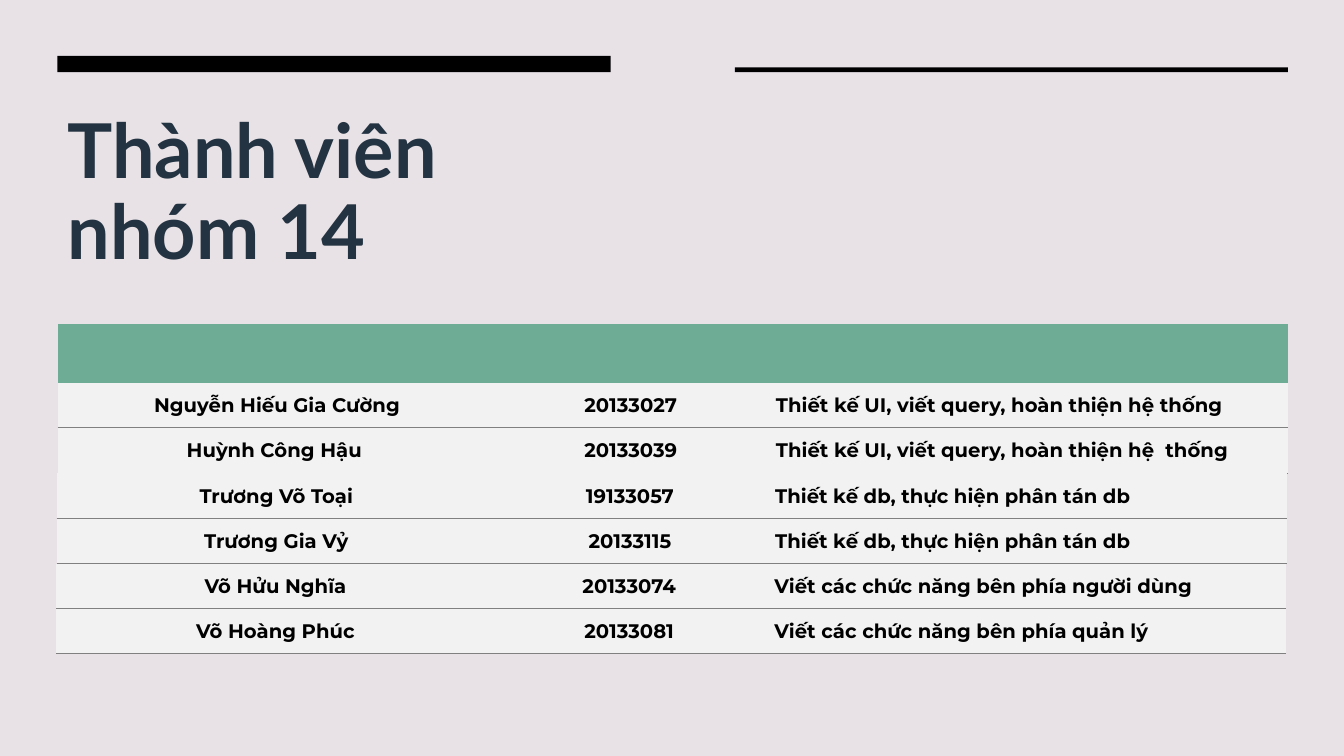
from dataclasses import dataclass

from lxml import etree
from pptx import Presentation
from pptx.dml.color import RGBColor
from pptx.enum.shapes import MSO_SHAPE
from pptx.enum.text import MSO_ANCHOR, PP_ALIGN
from pptx.oxml.ns import qn
from pptx.util import Cm, Pt

RECTANGLE = MSO_SHAPE.RECTANGLE
TOP = MSO_ANCHOR.TOP
LEFT, CENTER = PP_ALIGN.LEFT, PP_ALIGN.CENTER


@dataclass(frozen=True)
class Theme:
    background: str = "E8E2E7"
    bar: str = "000000"
    title: str = "243341"
    header: str = "6FAC96"
    row: str = "F2F2F2"
    rule: str = "808080"
    text: str = "000000"
    title_font: str = "Lato"
    body_font: str = "Montserrat"
    title_size: int = 54
    body_size: int = 14
    rule_width: float = 0.75


@dataclass(frozen=True)
class Box:
    left: float
    top: float
    width: float
    height: float

    def lengths(self):
        return Cm(self.left), Cm(self.top), Cm(self.width), Cm(self.height)


THEME = Theme()
COLUMN_SHARES = (0.357, 0.218, 0.425)
COLUMN_ALIGNMENTS = (CENTER, CENTER, LEFT)
HEADER_HEIGHT = 1.47
ROW_HEIGHT = 1.14
MEMBER_GROUPS = (
    (
        Box(1.45, 8.17, 31, 3.75),
        True,
        (
            ("Nguyễn Hiếu Gia Cường", "20133027", "Thiết kế UI, viết query, hoàn thiện hệ thống"),
            ("Huỳnh Công Hậu ", "20133039", "Thiết kế UI, viết query, hoàn thiện hệ  thống"),
        ),
    ),
    (
        Box(1.43, 11.93, 31, 2.28),
        False,
        (
            ("Trương Võ Toại", "19133057", "Thiết kế db, thực hiện phân tán db"),
            ("Trương Gia Vỷ", "20133115", "Thiết kế db, thực hiện phân tán db"),
        ),
    ),
    (
        Box(1.41, 14.2, 31, 2.28),
        False,
        (
            ("Võ Hửu Nghĩa", "20133074", "Viết các chức năng bên phía người dùng"),
            ("Võ Hoàng Phúc", "20133081", "Viết các chức năng bên phía quản lý"),
        ),
    ),
)


def color(code):
    return RGBColor.from_string(code)


def style_font(font, name, size, code):
    font.name = name
    font.size = Pt(size)
    font.bold = True
    font.color.rgb = color(code)


def add_bar(page, box):
    bar = page.shapes.add_shape(RECTANGLE, *box.lengths())
    bar.shadow.inherit = False
    bar.fill.solid()
    bar.fill.fore_color.rgb = color(THEME.bar)
    bar.line.fill.background()


def add_title(page, box):
    frame = page.shapes.add_textbox(*box.lengths()).text_frame
    frame.word_wrap = True
    frame.vertical_anchor = TOP
    para = frame.paragraphs[0]
    para.text = "Thành viên nhóm 14"
    para.line_spacing = 0.9
    para.space_after = Pt(6)
    style_font(para.font, THEME.title_font, THEME.title_size, THEME.title)


def set_borders(cell, ruled_sides):
    properties = cell._tc.get_or_add_tcPr()
    for position, side in enumerate(("lnL", "lnR", "lnT", "lnB")):
        line = etree.Element(qn(f"a:{side}"), w=str(Pt(THEME.rule_width)))
        if side in ruled_sides:
            fill = etree.SubElement(line, qn("a:solidFill"))
            etree.SubElement(fill, qn("a:srgbClr"), val=THEME.rule)
        else:
            etree.SubElement(line, qn("a:noFill"))
        properties.insert(position, line)


def fill_cell(cell, code, ruled_sides):
    cell.fill.solid()
    cell.fill.fore_color.rgb = color(code)
    set_borders(cell, ruled_sides)


def write_cell(cell, text, alignment):
    cell.margin_left = cell.margin_right = cell.margin_top = Cm(0.28)
    cell.margin_bottom = Cm(0.15)
    cell.vertical_anchor = TOP
    para = cell.text_frame.paragraphs[0]
    para.text = text
    para.alignment = alignment
    style_font(para.font, THEME.body_font, THEME.body_size, THEME.text)


def add_member_table(page, box, has_header, members):
    offset = int(has_header)
    table = page.shapes.add_table(
        len(members) + offset, len(COLUMN_SHARES), *box.lengths()
    ).table
    table.first_row = False
    table.horz_banding = False
    for column, share in zip(table.columns, COLUMN_SHARES):
        column.width = Cm(box.width * share)
    if has_header:
        table.rows[0].height = Cm(HEADER_HEIGHT)
        for cell in table.rows[0].cells:
            fill_cell(cell, THEME.header, ())
    for index, member in enumerate(members):
        row = table.rows[index + offset]
        row.height = Cm(ROW_HEIGHT)
        ruled_sides = ("lnT", "lnB") if index else ("lnB",)
        for cell, text, alignment in zip(row.cells, member, COLUMN_ALIGNMENTS):
            fill_cell(cell, THEME.row, ruled_sides)
            write_cell(cell, text, alignment)


def build_members_page(deck):
    page = deck.slides.add_slide(deck.slide_layouts[6])
    page.background.fill.solid()
    page.background.fill.fore_color.rgb = color(THEME.background)
    add_title(page, Box(1.45, 2.72, 13.94, 4.75))
    add_bar(page, Box(1.45, 1.41, 13.94, 0.41))
    add_bar(page, Box(18.52, 1.7, 13.94, 0.12))
    for box, has_header, members in MEMBER_GROUPS:
        add_member_table(page, box, has_header, members)


def main():
    deck = Presentation()
    deck.slide_width = Cm(33.87)
    deck.slide_height = Cm(19.05)
    build_members_page(deck)
    deck.save("out.pptx")


if __name__ == "__main__":
    main()
